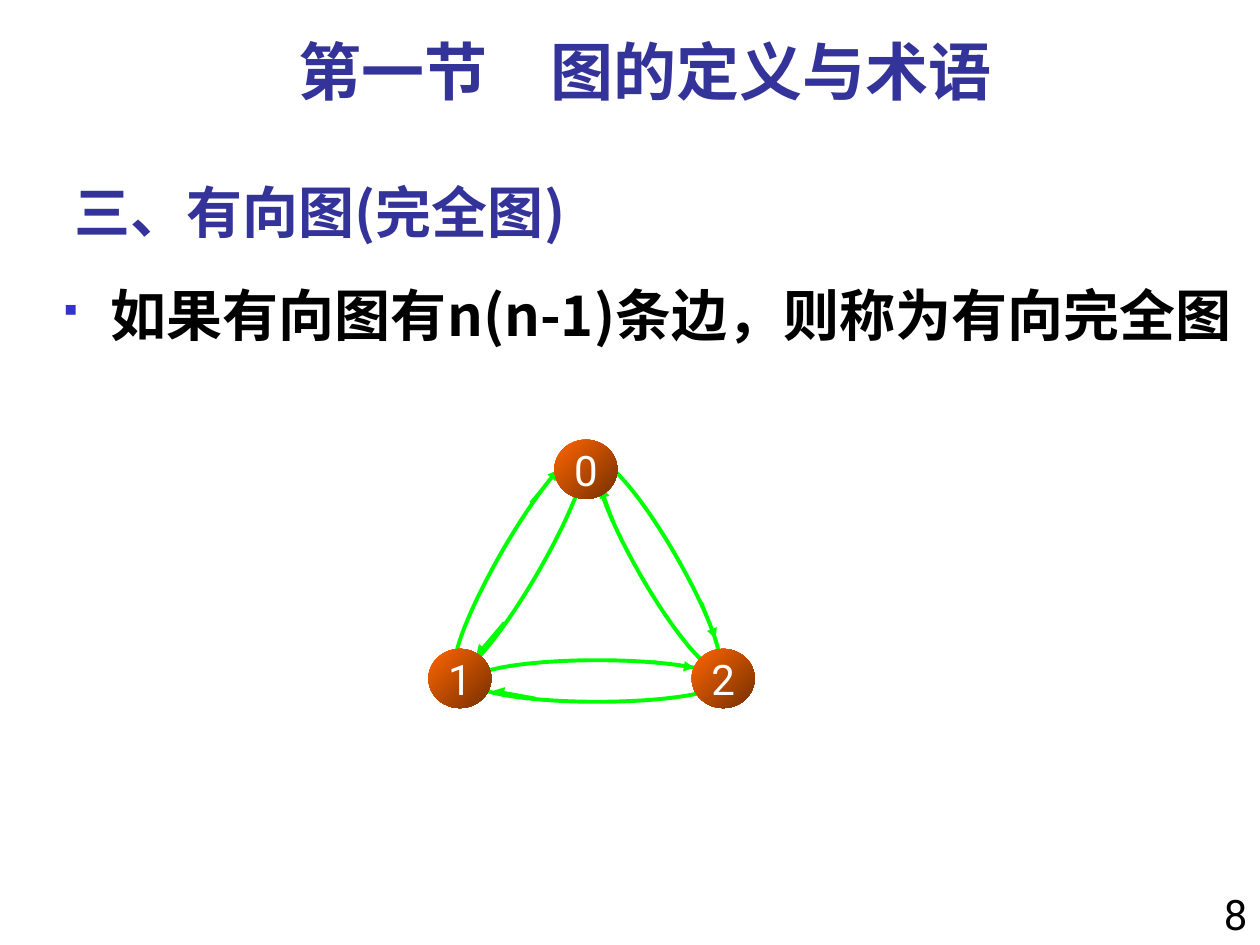
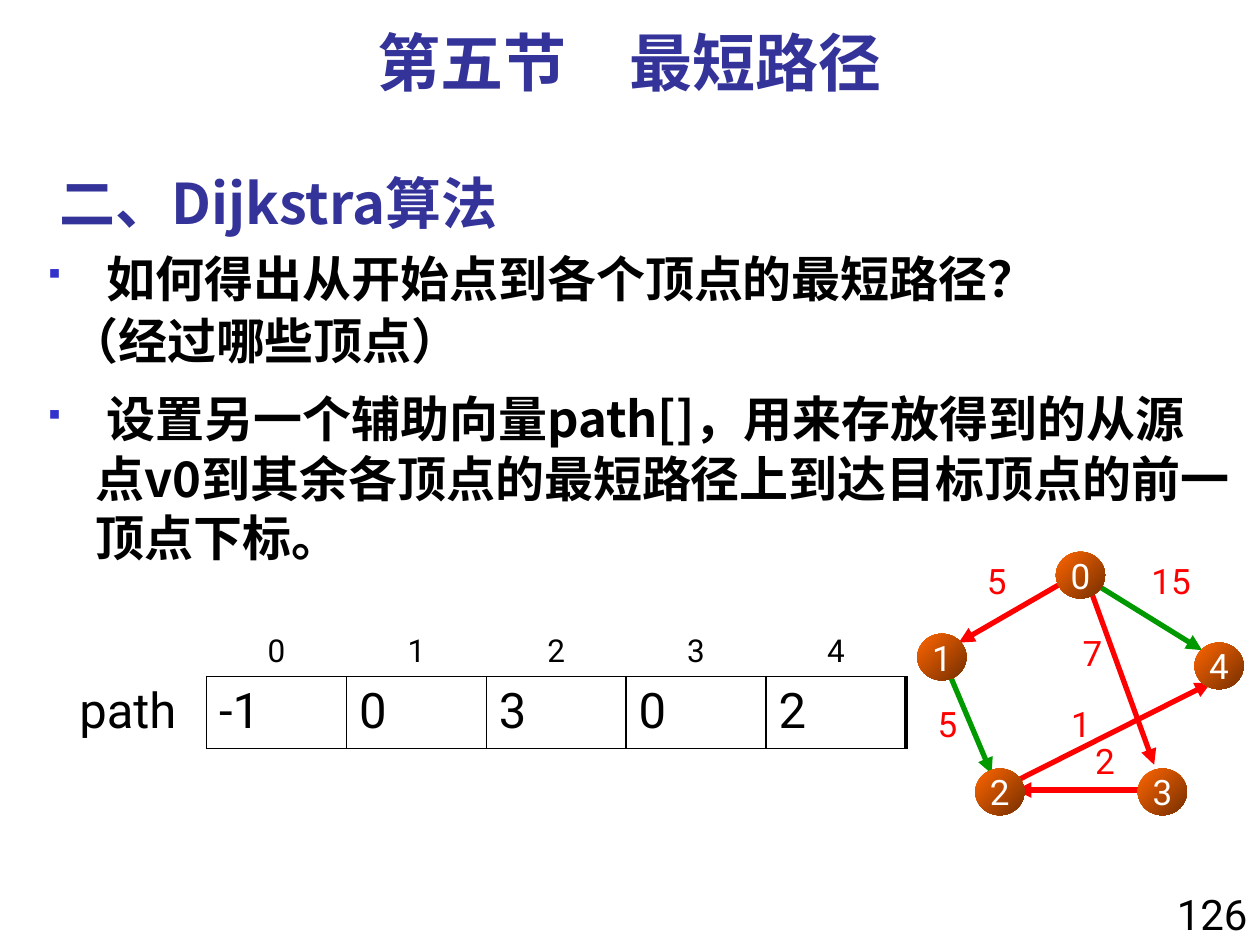
from dataclasses import dataclass

from lxml.etree import SubElement
from pptx import Presentation
from pptx.dml.color import RGBColor
from pptx.enum.shapes import MSO_CONNECTOR, MSO_SHAPE
from pptx.enum.text import MSO_ANCHOR, MSO_AUTO_SIZE, PP_ALIGN
from pptx.oxml import parse_xml
from pptx.oxml.ns import nsdecls, qn
from pptx.util import Pt

EMU_PER_PX = 9144  # 100 px to the inch


@dataclass(frozen=True)
class Theme:
    heading: str = "333399"
    ink: str = "000000"
    bullet: str = "3333CC"
    node_light: str = "FF6600"
    node_dark: str = "762F00"
    node_text: str = "FFFFFF"
    arc: str = "00FF00"
    green: str = "009900"
    red: str = "FF0000"
    latin_font: str = "Roboto"
    chinese_font: str = "Noto Sans CJK SC"
    section_size: int = 36
    title_size: int = 32
    page_number_size: int = 24
    label_size: int = 20
    index_size: int = 18
    cell_size: int = 28


THEME = Theme()


def px(length):
    return round(length * EMU_PER_PX)


def place(shape, box):
    shape.left, shape.top, shape.width, shape.height = map(px, box)


def style_text(para, size, colour, font=THEME.latin_font, bold=False):
    for span in para.runs:
        span.font.size = Pt(size)
        span.font.bold = bold
        span.font.color.rgb = RGBColor.from_string(colour)
        span.font.name = font
        properties = span.font._element
        SubElement(properties, qn("a:ea")).set("typeface", THEME.chinese_font)


def add_label(shapes, box, text, size, colour, align=PP_ALIGN.CENTER, bold=False):
    label = shapes.add_textbox(*map(px, box))
    frame = label.text_frame
    frame.word_wrap = True
    frame.vertical_anchor = MSO_ANCHOR.MIDDLE
    frame.text = text
    para = frame.paragraphs[0]
    para.alignment = align
    style_text(para, size, colour, bold=bold)


def add_page(deck, section, section_box, title, title_box, number, number_box):
    """Add a slide with its section heading, title and page number."""
    page = deck.slides.add_slide(deck.slide_layouts[1])
    place(page.shapes.title, title_box)
    frame = page.shapes.title.text_frame
    frame.auto_size = MSO_AUTO_SIZE.NONE
    frame.vertical_anchor = MSO_ANCHOR.BOTTOM
    frame.margin_bottom = px(2)
    frame.text = title
    para = frame.paragraphs[0]
    para.alignment = PP_ALIGN.LEFT
    style_text(para, THEME.title_size, THEME.heading, THEME.chinese_font, True)
    add_label(page.shapes, section_box, section, THEME.section_size, THEME.heading,
              bold=True)
    add_label(page.shapes, number_box, number, THEME.page_number_size, THEME.ink,
              PP_ALIGN.RIGHT)
    return page


def set_bullet(para, indent, bulleted):
    properties = para._p.get_or_add_pPr()
    properties.set("marL", str(px(38)))
    properties.set("indent", str(px(indent)))
    if not bulleted:
        SubElement(properties, qn("a:buNone"))
        return
    colour = SubElement(properties, qn("a:buClr"))
    SubElement(colour, qn("a:srgbClr")).set("val", THEME.bullet)
    SubElement(properties, qn("a:buSzPct")).set("val", "60000")
    SubElement(properties, qn("a:buFont")).set("typeface", "Wingdings")
    SubElement(properties, qn("a:buChar")).set("char", "§")


def fill_body(page, box, size, items, top_inset=5):
    """Fill the body with (text, bulleted, indent, line height, space before) items."""
    body = page.placeholders[1]
    place(body, box)
    frame = body.text_frame
    frame.auto_size = MSO_AUTO_SIZE.NONE
    frame.margin_top = px(top_inset)
    frame.text = "\n".join(item[0] for item in items)
    for para, (_, bulleted, indent, line_height, before) in zip(frame.paragraphs, items):
        para.alignment = PP_ALIGN.LEFT
        para.line_spacing = Pt(line_height)
        para.space_before = Pt(before)
        set_bullet(para, indent, bulleted)
        style_text(para, size, THEME.ink, THEME.chinese_font, True)


def add_arrow(shapes, origin, start, end, colour, width):
    left, top = origin
    arrow = shapes.add_connector(
        MSO_CONNECTOR.STRAIGHT,
        px(left + start[0]), px(top + start[1]), px(left + end[0]), px(top + end[1]))
    arrow.line.color.rgb = RGBColor.from_string(colour)
    arrow.line.width = Pt(width)
    SubElement(arrow.line._get_or_add_ln(), qn("a:tailEnd")).set("type", "triangle")
    SubElement(arrow._element.spPr, qn("a:effectLst"))


def add_ellipse(shapes, origin, box):
    left, top, width, height = box
    ellipse = shapes.add_shape(
        MSO_SHAPE.OVAL,
        px(origin[0] + left), px(origin[1] + top), px(width), px(height))
    ellipse.shadow.inherit = False
    return ellipse


def add_arc_pair(shapes, origin, box, rotation):
    """Draw the two curved edges between a pair of nodes as one open ellipse."""
    ellipse = add_ellipse(shapes, origin, box)
    ellipse.rotation = rotation
    ellipse.fill.background()
    ellipse.line.color.rgb = RGBColor.from_string(THEME.arc)
    ellipse.line.width = Pt(2.25)


def add_nodes(shapes, origin, corners, size, text_size):
    """Draw the numbered nodes, whose numbers are their places in corners."""
    for number, corner in enumerate(corners):
        node = add_ellipse(shapes, origin, (*corner, *size))
        node.line.fill.background()
        node.fill.gradient()
        node.fill.gradient_angle = 315
        colours = (THEME.node_light, THEME.node_dark)
        for stop, position, colour in zip(node.fill.gradient_stops, (0, 1), colours):
            stop.position = position
            stop.color.rgb = RGBColor.from_string(colour)
        frame = node.text_frame
        frame.margin_left = frame.margin_right = 0
        frame.margin_top = frame.margin_bottom = px(5)
        frame.word_wrap = False
        frame.vertical_anchor = MSO_ANCHOR.MIDDLE
        frame.text = str(number)
        para = frame.paragraphs[0]
        para.alignment = PP_ALIGN.CENTER
        style_text(para, text_size, THEME.node_text)


def add_complete_graph(page, origin):
    shapes = page.shapes.add_group_shape().shapes
    arc_pairs = [
        ((34, 175, 200, 33), 0, [((178, 176), (211, 181)), ((85, 205), (52, 199))]),
        ((-27, 80, 200, 33), 300, [((81, 50), (103, 24)), ((60, 145), (38, 171))]),
        ((89, 84, 187, 32), 60, [((217, 129), (228, 158)), ((148, 68), (137, 38))]),
    ]
    for box, rotation, arrows in arc_pairs:
        add_arc_pair(shapes, origin, box, rotation)
        for start, end in arrows:
            add_arrow(shapes, origin, start, end, THEME.arc, 1.5)
    add_nodes(shapes, origin, [(100, 0), (0, 166), (209, 166)], (50, 47), 24)


def add_weighted_graph(page, origin):
    shapes = page.shapes.add_group_shape().shapes
    edges = [
        ((142, 26), (226, 78), THEME.green),
        ((26, 98), (59, 176), THEME.green),
        ((123, 20), (33, 72), THEME.red),
        ((136, 26), (188, 169), THEME.red),
        ((175, 189), (78, 189), THEME.red),
        ((78, 182), (233, 104), THEME.red),
    ]
    for start, end, colour in edges:
        add_arrow(shapes, origin, start, end, colour, 3)
    corners = [(110, 0), (0, 65), (46, 172), (175, 172), (220, 72)]
    add_nodes(shapes, origin, corners, (39, 37), THEME.label_size)
    weights = [("5", 39, 1, 48), ("5", 0, 115, 48), ("15", 163, 1, 77),
               ("1", 106, 115, 48), ("7", 115, 58, 48), ("2", 125, 144, 48)]
    for weight, left, top, width in weights:
        box = (origin[0] + left, origin[1] + top, width, 43)
        add_label(shapes, box, weight, THEME.label_size, THEME.red)


def set_borders(cell, widths):
    """Give the cell borders of these widths in points; a side left out has none."""
    properties = cell._tc.get_or_add_tcPr()
    for position, side in enumerate("LRTB"):
        width = widths.get(side)
        paint = "<a:noFill/>"
        if width:
            paint = f'<a:solidFill><a:srgbClr val="{THEME.ink}"/></a:solidFill>'
        border = parse_xml(
            f'<a:ln{side} {nsdecls("a")} w="{Pt(width or 0)}">{paint}</a:ln{side}>')
        properties.insert(position, border)


def add_path_table(page, origin, column_width, row_height):
    rows = [["", "0", "1", "2", "3", "4"], ["path", "-1", "0", "3", "0", "2"]]
    columns = len(rows[0])
    table = page.shapes.add_table(
        len(rows), columns, *map(px, origin),
        px(column_width * columns), px(row_height * len(rows))).table
    table.first_row = table.horz_banding = False
    for row in table.rows:
        row.height = px(row_height)
    for column in table.columns:
        column.width = px(column_width)
    for row, texts in enumerate(rows):
        for column, text in enumerate(texts):
            cell = table.cell(row, column)
            cell.fill.background()
            cell.text = text
            para = cell.text_frame.paragraphs[0]
            if row == 0:
                cell.vertical_anchor = MSO_ANCHOR.BOTTOM
                para.alignment = PP_ALIGN.CENTER
                style_text(para, THEME.index_size, THEME.ink)
                set_borders(cell, {"B": 1} if column else {})
            else:
                style_text(para, THEME.cell_size, THEME.ink)
                borders = {"L": 1, "R": 1, "T": 1, "B": 1} if column else {"R": 1}
                if column == columns - 1:
                    borders["R"] = 2.25
                set_borders(cell, borders)


def build_complete_graph_page(deck):
    page = add_page(deck, "第一节　图的定义与术语", (49, 21, 925, 70),
                    "三、有向图(完全图)", (49, 121, 625, 75),
                    "8", (933, 700, 67, 50))
    fill_body(page, (40, 212, 958, 442), 32, [
        ("如果有向图有n(n-1)条边，则称为有向完全图", True, -38, 38.3, 0),
    ], top_inset=11)
    add_complete_graph(page, (340, 349))


def build_shortest_path_page(deck):
    page = add_page(deck, "第五节　最短路径", (37, 14, 925, 70),
                    "二、Dijkstra算法", (37, 114, 950, 75),
                    "126", (916, 700, 84, 50))
    fill_body(page, (28, 205, 958, 442), 28, [
        (" 如何得出从开始点到各个顶点的最短路径？", True, -38, 24.3, 0),
        ("（经过哪些顶点）", False, -21, 24.3, 11),
        (" 设置另一个辅助向量path[]，用来存放得到的从源点v0到其余各顶点的"
         "最短路径上到达目标顶点的前一顶点下标。", True, -38, 34, 11),
    ])
    add_weighted_graph(page, (728, 438))
    add_path_table(page, (53, 480), 111, 57)


def main():
    deck = Presentation()
    deck.slide_width, deck.slide_height = px(1000), px(750)
    build_complete_graph_page(deck)
    build_shortest_path_page(deck)
    deck.save("out.pptx")


if __name__ == "__main__":
    main()
